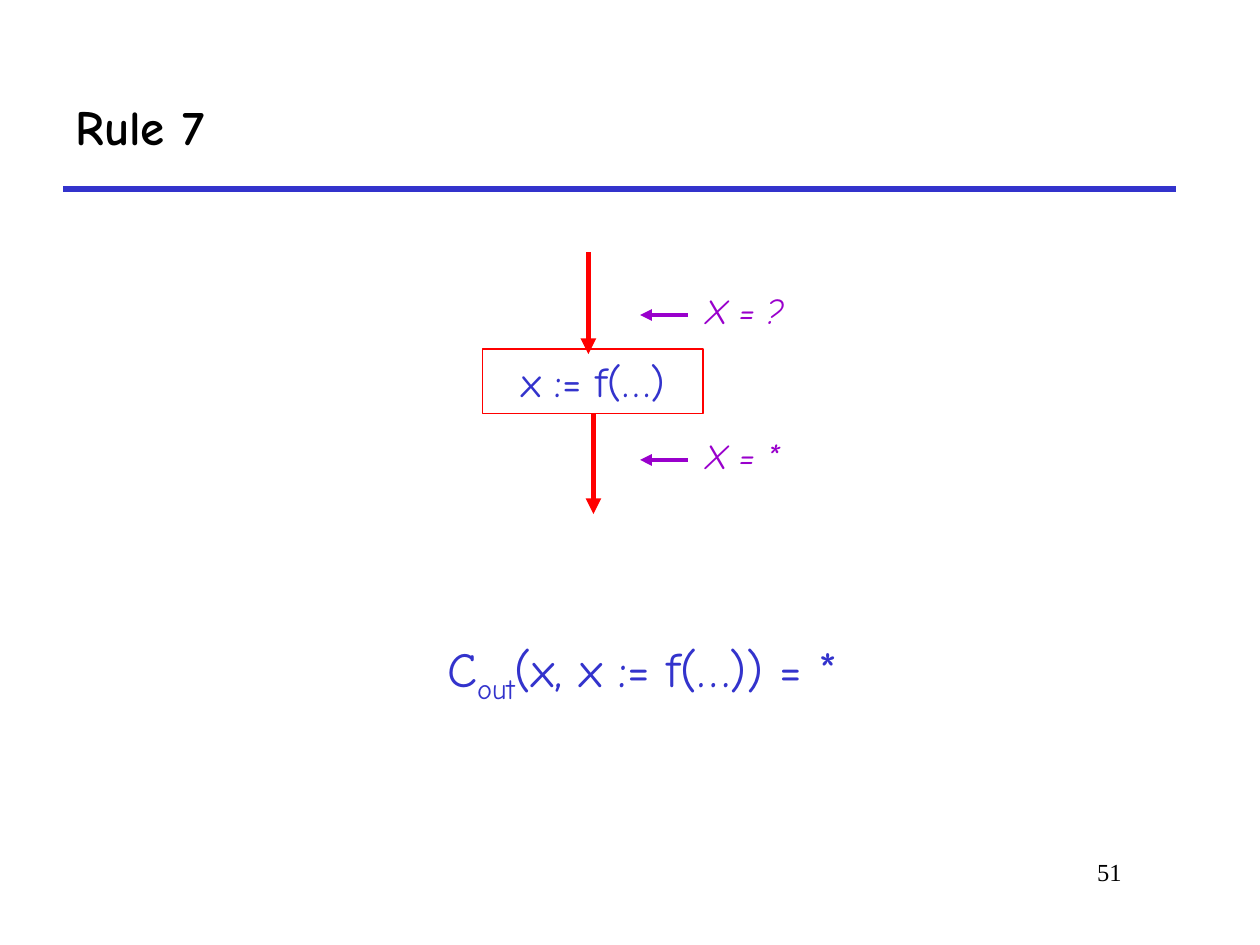
"""Build the Rule 7 slide on how an assignment from a call changes what is known of x."""
from typing import NamedTuple

from lxml.etree import SubElement
from pptx import Presentation
from pptx.dml.color import RGBColor as Rgb
from pptx.enum.shapes import MSO_CONNECTOR as Conn, MSO_SHAPE as Kind
from pptx.enum.text import MSO_ANCHOR as Anchor, PP_ALIGN as Align
from pptx.oxml.ns import qn
from pptx.util import Inches, Pt

HUES = {"ink": "000000", "blue": "3333CC", "red": "FF0000", "plum": "9900CC"}
FACE = "Comic Neue"


class Style(NamedTuple):
    """Look of a run of text."""
    size: float
    hue: str
    face: str = FACE
    bold: bool = False
    slant: bool = False


class Line(NamedTuple):
    """Straight line from one point to another."""
    x1: float
    y1: float
    x2: float
    y2: float
    hue: str
    width: float
    arrow: bool = True


class Fact(NamedTuple):
    """Statement about x with the height of its arrow."""
    text: str
    y: float


LINES = [
    Line(0.5, 1.5, 9.33, 1.5, "blue", 3, False),
    Line(4.71, 3.28, 4.71, 4.08, "red", 3),
    Line(4.67, 2, 4.67, 2.81, "red", 3),
]
FACTS = [Fact("X = ?", 2.5), Fact("X = *", 3.65)]
NOTE = Style(20, "plum", slant=True)


def tint(hue: str) -> Rgb:
    """Return the named colour."""
    return Rgb.from_string(HUES[hue])


def place(shape, x: float, y: float, w: float, h: float) -> None:
    """Move and size a shape in inches."""
    shape.left, shape.top = Inches(x), Inches(y)
    shape.width, shape.height = Inches(w), Inches(h)


def dress(para, style: Style, align=Align.LEFT) -> None:
    """Format every run of a paragraph."""
    para.alignment = align
    for run in para.runs:
        font = run.font
        font.name, font.size = style.face, Pt(style.size)
        font.bold, font.italic = style.bold, style.slant
        font.color.rgb = tint(style.hue)


def write(slide, text: str, x: float, y: float, w: float, h: float,
          style: Style, align=Align.LEFT):
    """Add a text box and return its paragraph."""
    box = slide.shapes.add_textbox(0, 0, 0, 0)
    place(box, x, y, w, h)
    box.text_frame.word_wrap = True
    para = box.text_frame.paragraphs[0]
    para.text = text
    dress(para, style, align)
    return para


def draw(slide, line: Line) -> None:
    """Add a line, with a closing arrowhead if wanted."""
    ends = map(Inches, line[:4])
    link = slide.shapes.add_connector(Conn.STRAIGHT, *ends)
    link.line.color.rgb = tint(line.hue)
    link.line.width = Pt(line.width)
    if line.arrow:
        SubElement(link.line._get_or_add_ln(), qn("a:tailEnd"), type="triangle")
    SubElement(link._element.spPr, qn("a:effectLst"))


def state(slide, fact: Fact) -> None:
    """Add a fact and the arrow that points from it to the flow."""
    write(slide, fact.text, 5.5, fact.y - 0.25, 1.33, 0.43, NOTE)
    draw(slide, Line(5.46, fact.y, 5.08, fact.y, "plum", 2.25))


def step(slide, text: str) -> None:
    """Add the boxed assignment."""
    box = slide.shapes.add_shape(Kind.RECTANGLE, 0, 0, 0, 0)
    place(box, 3.83, 2.77, 1.75, 0.51)
    box.shadow.inherit = False
    box.fill.background()
    box.line.color.rgb = tint("red")
    box.line.width = Pt(0.75)
    box.text_frame.text = text
    box.text_frame.vertical_anchor = Anchor.MIDDLE
    dress(box.text_frame.paragraphs[0], Style(24, "blue"), Align.CENTER)


def rule(slide) -> None:
    """Add the formula with its lowered index."""
    para = write(slide, "C", 0.56, 5.02, 9.08, 0.6, Style(28, "blue"))
    low, rest = para.add_run(), para.add_run()
    low.text, rest.text = "out", "(x, x := f(…)) = *"
    dress(para, Style(28, "blue"), Align.CENTER)
    low.font._element.set("baseline", "-25000")


def main() -> None:
    """Build and save the slide."""
    deck = Presentation()
    deck.slide_width, deck.slide_height = Inches(10), Inches(7.5)
    slide = deck.slides.add_slide(deck.slide_layouts[5])
    title = slide.shapes.title
    place(title, 0.5, 0.5, 8.83, 1)
    title.text_frame.text = "Rule 7"
    title.text_frame.vertical_anchor = Anchor.MIDDLE
    dress(title.text_frame.paragraphs[0], Style(28, "ink", bold=True))
    step(slide, "x := f(…)")
    for line in LINES:
        draw(slide, line)
    for fact in FACTS:
        state(slide, fact)
    rule(slide)
    write(slide, "51", 6.92, 6.75, 2.08, 0.5,
          Style(14, "ink", "Times New Roman"), Align.RIGHT)
    deck.save("out.pptx")


if __name__ == "__main__":
    main()
